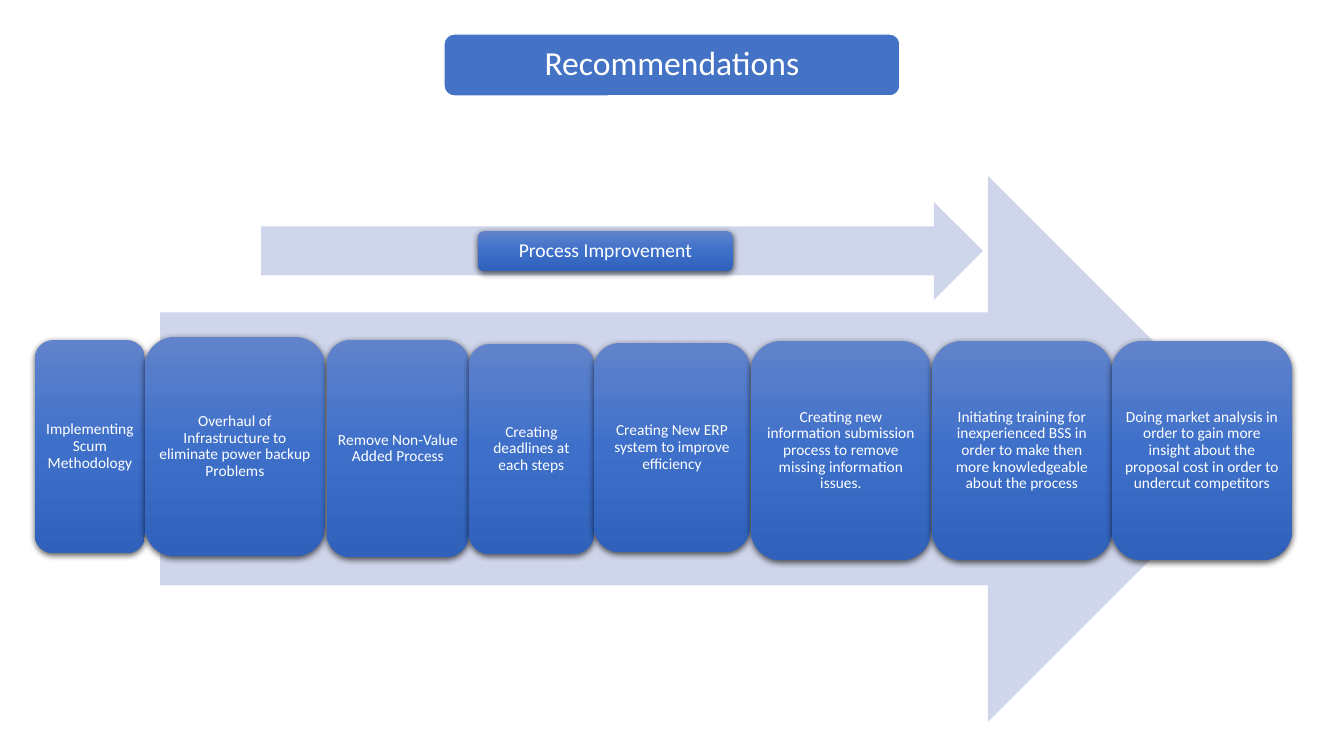
from copy import deepcopy

from lxml import etree
from pptx import Presentation
from pptx.dml.color import RGBColor
from pptx.enum.shapes import MSO_SHAPE
from pptx.enum.text import MSO_ANCHOR, PP_ALIGN
from pptx.oxml.ns import qn
from pptx.util import Emu, Pt

ROUND = MSO_SHAPE.ROUNDED_RECTANGLE
ARROW = MSO_SHAPE.RIGHT_ARROW
MIDDLE = MSO_ANCHOR.MIDDLE
CENTER = PP_ALIGN.CENTER

WIDTH, HEIGHT = 1344, 756
SCALE = 914400 / 100.8

STEPS = [
    (35, 340, 110, 213, "Implementing Scum Methodology"),
    (145, 337, 180, 219,
     "Overhaul of Infrastructure to eliminate power backup Problems"),
    (327, 340, 142, 217, "Remove Non-Value Added Process"),
    (469, 344, 125, 210, "Creating deadlines at each steps"),
    (594, 343, 156, 209, "Creating New ERP system to improve efficiency"),
    (751, 341, 180, 219,
     "Creating new information submission process to remove missing "
     "information issues."),
    (932, 341, 180, 219,
     "Initiating training for inexperienced BSS in order to make then "
     "more knowledgeable about the process"),
    (1112, 341, 180, 219,
     "Doing market analysis in order to gain more insight about the "
     "proposal cost in order to undercut competitors"),
]


def px(count):
    return Emu(round(count * SCALE))


def color(code):
    return RGBColor.from_string(code)


class Deck:
    font = "Calibri"
    white = "FFFFFF"
    blue = "4472C4"
    pale = "CFD5EA"
    shades = ((0, "6183CB"), (0.5, "3E70CA"), (1, "3062BB"))

    def __init__(self):
        self.file = Presentation()
        self.file.slide_width = px(WIDTH)
        self.file.slide_height = px(HEIGHT)
        self.slide = self.file.slides.add_slide(self.file.slide_layouts[6])

    def shape(self, kind, *box):
        shape = self.slide.shapes.add_shape(kind, *map(px, box))
        shape.shadow.inherit = False
        shape.line.fill.background()
        return shape

    def paint(self, shape, code):
        shape.fill.solid()
        shape.fill.fore_color.rgb = color(code)

    def label(self, shape, text, size, inset):
        frame = shape.text_frame
        frame.word_wrap = True
        frame.vertical_anchor = MIDDLE
        frame.margin_left = frame.margin_right = px(inset)
        frame.margin_top = frame.margin_bottom = px(inset)
        para = frame.paragraphs[0]
        para.alignment = CENTER
        para.line_spacing = 0.9
        run = para.add_run()
        run.text = text
        run.font.name = self.font
        run.font.size = Pt(size)
        run.font.color.rgb = color(self.white)

    def shade(self, shape):
        fill = shape.fill
        fill.gradient()
        fill.gradient_angle = 270
        first = shape._element.spPr.find(".//" + qn("a:gs"))
        first.addnext(deepcopy(first))
        for stop, (place, code) in zip(fill.gradient_stops, self.shades):
            stop.position = place
            stop.color.rgb = color(code)

    def shadow(self, shape):
        effects = shape._element.spPr.find(qn("a:effectLst"))
        outer = etree.SubElement(
            effects, qn("a:outerShdw"), blurRad=str(Pt(4.5)),
            dist=str(Pt(1.5)), dir="5400000", algn="ctr", rotWithShape="0")
        tint = etree.SubElement(outer, qn("a:srgbClr"), val="000000")
        etree.SubElement(tint, qn("a:alpha"), val="63000")

    def title(self, text, *box):
        shape = self.shape(ROUND, *box)
        self.paint(shape, self.blue)
        shape.line.color.rgb = color(self.white)
        shape.line.width = Pt(1)
        self.label(shape, text, 24, 10)

    def arrow(self, *box):
        self.paint(self.shape(ARROW, *box), self.pale)

    def card(self, text, size, inset, *box):
        shape = self.shape(ROUND, *box)
        self.shade(shape)
        self.shadow(shape)
        self.label(shape, text, size, inset)


def main():
    deck = Deck()
    deck.title("Recommendations", 444, 34, 456, 62)
    deck.arrow(160, 176, 1101, 546)
    for *box, text in STEPS:
        deck.card(text, 11, 4, *box)
    deck.arrow(261, 202, 722, 98)
    deck.card("Process Improvement", 14, 6, 478, 231, 255, 40)
    deck.file.save("out.pptx")


if __name__ == "__main__":
    main()
